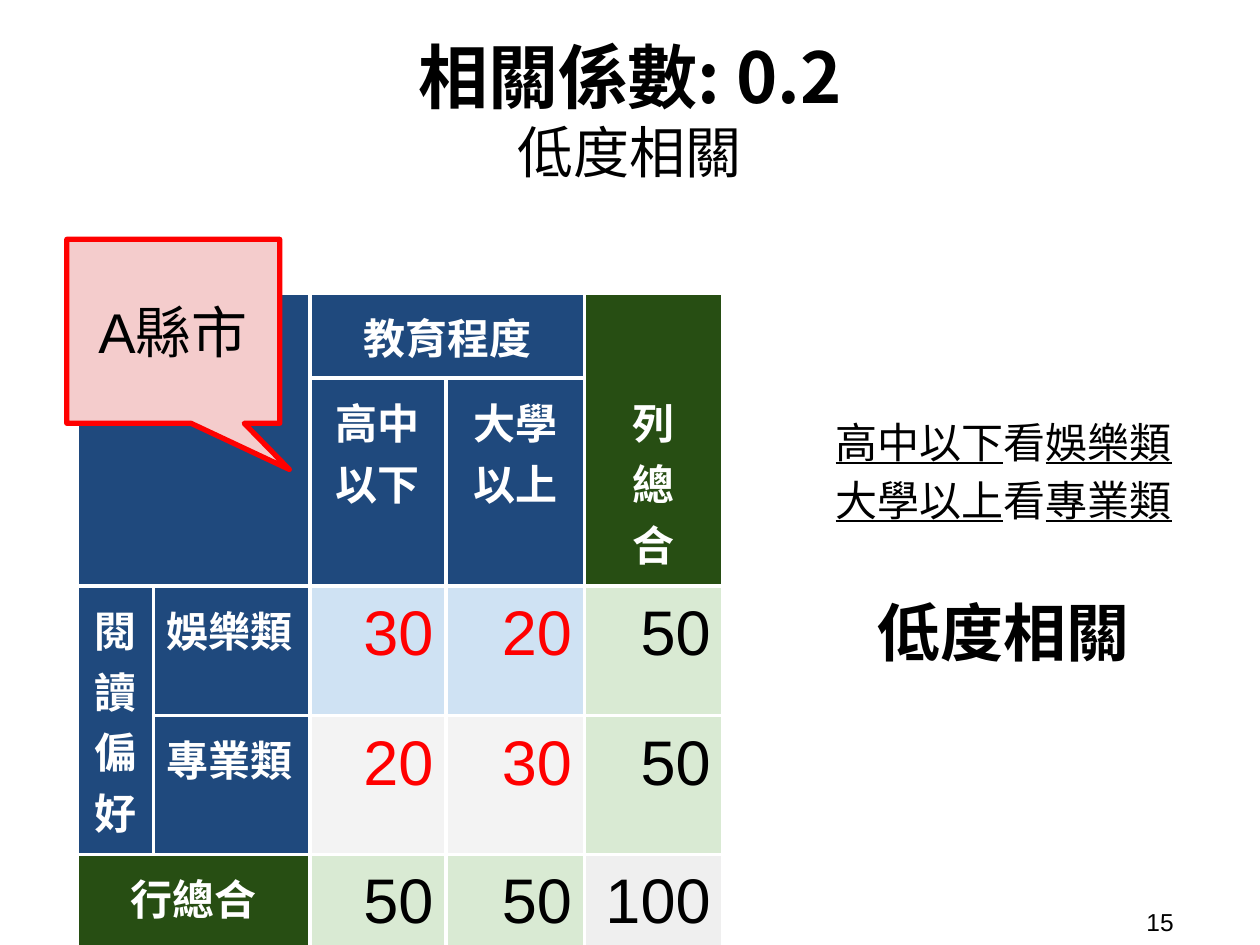
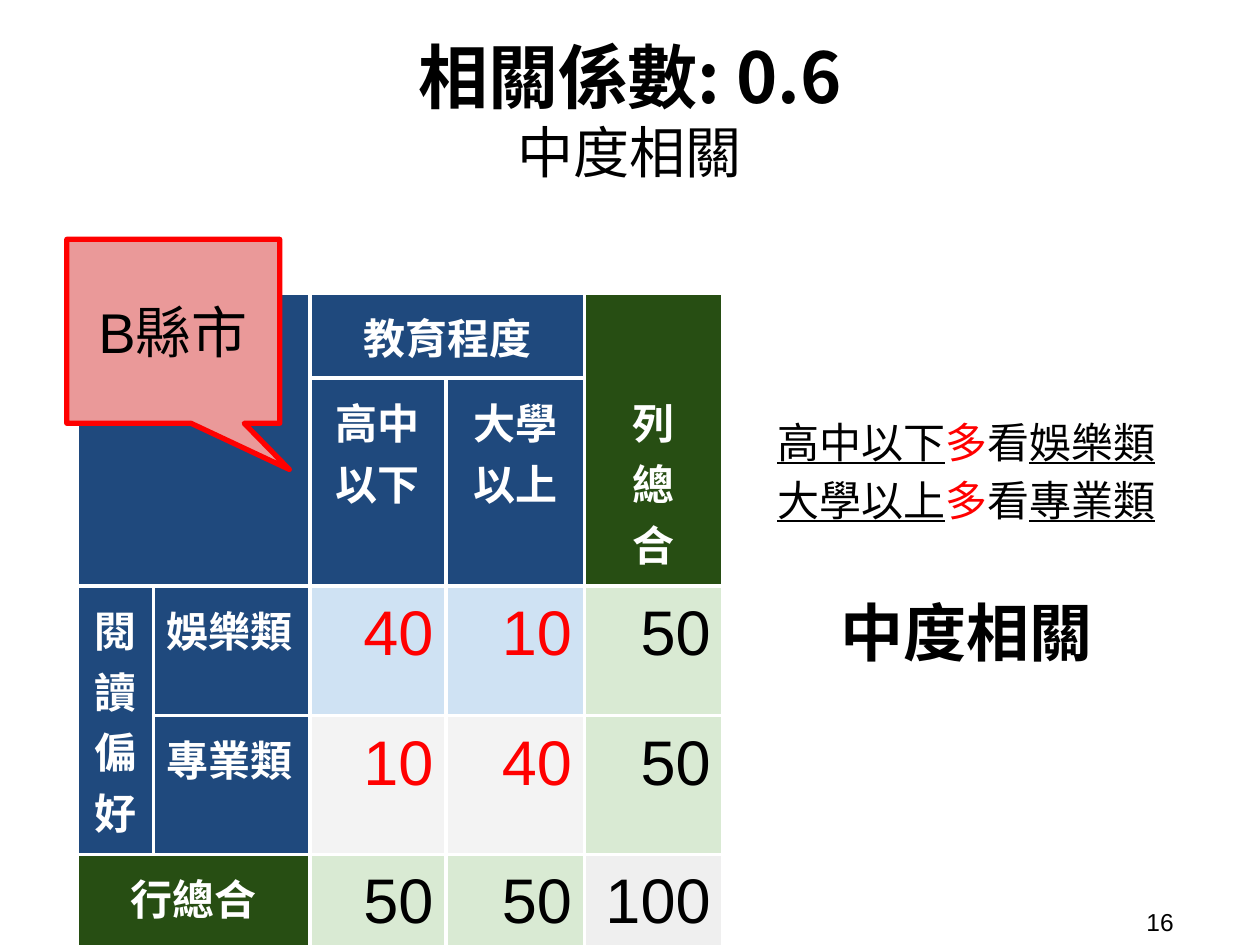
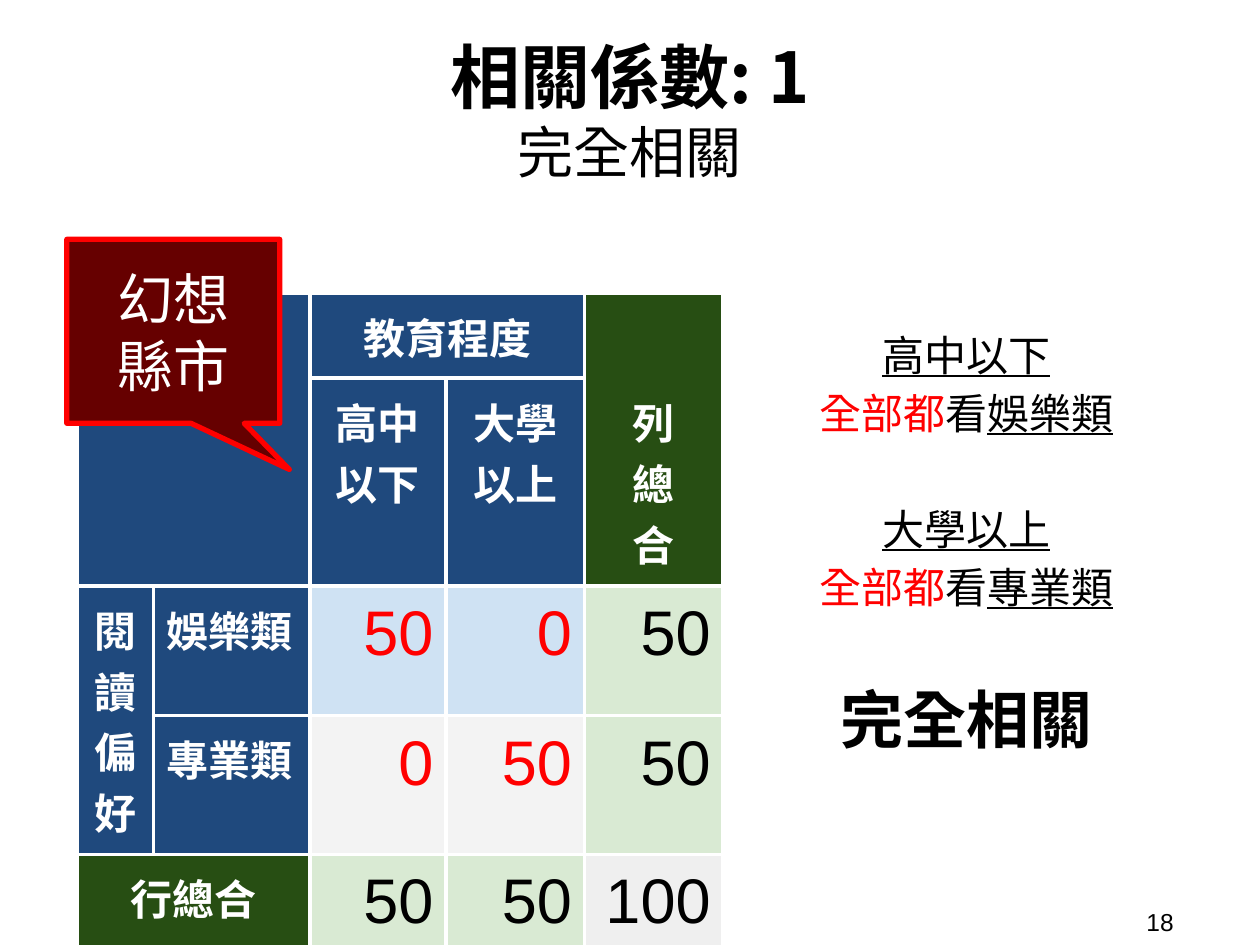
"""Build three slides that compare correlation strengths."""
from dataclasses import dataclass
from itertools import product
from typing import NamedTuple

from lxml.etree import SubElement
from pptx import Presentation
from pptx.dml.color import RGBColor
from pptx.enum.shapes import MSO_SHAPE as Preset
from pptx.enum.text import MSO_ANCHOR as Anchor, PP_ALIGN as Align
from pptx.oxml.ns import qn
from pptx.util import Emu, Inches, Pt

WIDTH, HEIGHT = Inches(10), Inches(7.5)
GRID_COLUMNS, GRID_ROWS = 100, 75


@dataclass(frozen=True)
class Theme:
    """Colours, fonts and type sizes shared by all slides."""
    ink: str = "000000"
    white: str = "FFFFFF"
    red: str = "FF0000"
    navy: str = "1F497D"
    forest: str = "274E13"
    sky: str = "CFE2F3"
    mist: str = "F3F3F3"
    mint: str = "D9EAD3"
    silver: str = "EFEFEF"
    latin: str = "Arial"
    cjk: str = "Noto Sans CJK TC"
    title: int = 40
    subtitle: int = 32
    figure: int = 36
    body: int = 24
    footer: int = 14
    border: float = 2.25
    outline: float = 3
    gap: int = 33
    spacing: float = 1.15


THEME = Theme()


class Area(NamedTuple):
    """A rectangle in grid columns and rows."""
    left: float
    top: float
    width: float
    height: float


@dataclass(frozen=True)
class Span:
    """A run of text and its look."""
    text: str
    size: int = THEME.body
    color: str = THEME.ink
    bold: bool = False
    underline: bool = False
    latin: str = THEME.latin
    cjk: str = THEME.latin


@dataclass(frozen=True)
class Line:
    """A paragraph made of rows of spans split by line breaks."""
    rows: list[list[Span]]
    align: Align = Align.CENTER
    spacing: float | None = None
    before: int = 0


class Entry(NamedTuple):
    """A table cell with its place, fill, text and extent."""
    row: int
    column: int
    fill: str
    lines: list[Line]
    row_span: int = 1
    column_span: int = 1
    anchor: Anchor = Anchor.TOP


class Case(NamedTuple):
    """The content of one slide."""
    number: str
    coefficient: str
    strength: str
    county: list[str]
    county_fill: str
    county_ink: str
    matching: int
    findings: list[Line]
    findings_area: Area


TITLE_AREA = Area(5.2, 1.9, 89.6, 13.6)
NUMBER_AREA = Area(90, 71.7, 9.2, 2.9)
TABLE_ORIGIN = (6.1, 23.3)
TABLE_COLUMNS = (6.1, 12.4, 10.8, 11, 11)
TABLE_ROWS = (6.7, 16.5, 10.3, 11, 7)
CALLOUT_AREA = Area(5.3, 19, 16.9, 14.6)
CALLOUT_TIP = (0.545, 0.751, 0)
FINDINGS_NARROW = Area(64.5, 24.8, 30.3, 36)
FINDINGS_WIDE = Area(58.6, 24.8, 36.2, 36)
GROUP_TOTAL = 50
GROUPS = (("高中以下", "娛樂類"), ("大學以上", "專業類"))


def across(columns: float) -> Emu:
    """Return the length of a number of grid columns."""
    return Emu(round(WIDTH * columns / GRID_COLUMNS))


def down(rows: float) -> Emu:
    """Return the length of a number of grid rows."""
    return Emu(round(HEIGHT * rows / GRID_ROWS))


def place(area: Area) -> tuple[Emu, Emu, Emu, Emu]:
    """Return the slide position of a grid area."""
    return across(area.left), down(area.top), across(area.width), down(area.height)


def rgb(color: str) -> RGBColor:
    """Return a colour from its hex code."""
    return RGBColor.from_string(color)


def add_span(para, span: Span) -> None:
    """Add one formatted run to a paragraph."""
    run = para.add_run()
    run.text = span.text
    font = run.font
    font.size, font.bold, font.underline = Pt(span.size), span.bold, span.underline
    font.color.rgb = rgb(span.color)
    font.name = span.latin
    properties = run._r.get_or_add_rPr()
    properties.set("lang", "zh-TW")
    SubElement(properties, qn("a:ea"), typeface=span.cjk)


def write(frame, lines: list[Line]) -> None:
    """Fill a text frame with paragraphs."""
    frame.word_wrap = True
    for index, line in enumerate(lines):
        para = frame.add_paragraph() if index else frame.paragraphs[0]
        para.alignment = line.align
        if line.spacing:
            para.line_spacing = line.spacing
        if line.before:
            para.space_before = Pt(line.before)
        for row_index, row in enumerate(line.rows):
            if row_index:
                para.add_line_break()
            for span in row:
                add_span(para, span)


def set_margins(target, side: float = 0.1, edge: float = 0.1) -> None:
    """Set the inner margins of a frame or a cell."""
    target.margin_left = target.margin_right = Inches(side)
    target.margin_top = target.margin_bottom = Inches(edge)


def add_text(page, area: Area, lines: list[Line], edge: float = 0.1) -> None:
    """Add a vertically centred text box."""
    frame = page.shapes.add_textbox(*place(area)).text_frame
    set_margins(frame, edge=edge)
    frame.vertical_anchor = Anchor.MIDDLE
    write(frame, lines)


def header(text: str, align: Align = Align.CENTER) -> Line:
    """Return a table heading."""
    span = Span(text, color=THEME.white, bold=True, cjk=THEME.cjk)
    return Line([[span]], align)


def figure(value: int, color: str = THEME.ink) -> list[Line]:
    """Return a right-aligned table figure."""
    return [Line([[Span(str(value), THEME.figure, color)]], Align.RIGHT)]


def table_entries(matching: int) -> list[Entry]:
    """Return the cells of a contingency table with equal group totals."""
    entries = [
        Entry(0, 0, THEME.navy, [], 2, 2),
        Entry(0, 2, THEME.navy, [header("教育程度")], 1, 2),
        Entry(0, 4, THEME.forest, [header(mark) for mark in "列總合"], 2, 1,
              Anchor.BOTTOM),
        Entry(2, 0, THEME.navy, [header("閱讀偏好")], 2, 1),
        Entry(4, 0, THEME.forest, [header("行總合")], 1, 2),
        Entry(4, 4, THEME.silver, figure(2 * GROUP_TOTAL)),
    ]
    for index, (education, genre) in enumerate(GROUPS):
        entries += [
            Entry(1, 2 + index, THEME.navy, [header(education)]),
            Entry(2 + index, 1, THEME.navy, [header(genre, Align.LEFT)]),
            Entry(2 + index, 4, THEME.mint, figure(GROUP_TOTAL)),
            Entry(4, 2 + index, THEME.mint, figure(GROUP_TOTAL)),
        ]
    for row, column in product(range(2), repeat=2):
        value = matching if row == column else GROUP_TOTAL - matching
        fill = (THEME.sky, THEME.mist)[row]
        entries.append(Entry(2 + row, 2 + column, fill, figure(value, THEME.red)))
    return entries


def dress_cell(cell, fill: str) -> None:
    """Give a cell its borders and fill."""
    properties = cell._tc.get_or_add_tcPr()
    for side in ("lnL", "lnR", "lnT", "lnB"):
        edge = SubElement(properties, qn(f"a:{side}"), w=str(Pt(THEME.border)))
        paint = SubElement(edge, qn("a:solidFill"))
        SubElement(paint, qn("a:srgbClr"), val=THEME.white)
    cell.fill.solid()
    cell.fill.fore_color.rgb = rgb(fill)


def add_contingency_table(page, matching: int) -> None:
    """Add the table of education against reading preference."""
    area = Area(*TABLE_ORIGIN, sum(TABLE_COLUMNS), sum(TABLE_ROWS))
    table = page.shapes.add_table(
        len(TABLE_ROWS), len(TABLE_COLUMNS), *place(area)).table
    table.first_row = table.horz_banding = False
    for column, width in zip(table.columns, TABLE_COLUMNS):
        column.width = across(width)
    for row, height in zip(table.rows, TABLE_ROWS):
        row.height = down(height)
    for entry in table_entries(matching):
        rows = range(entry.row, entry.row + entry.row_span)
        columns = range(entry.column, entry.column + entry.column_span)
        for row, column in product(rows, columns):
            dress_cell(table.cell(row, column), entry.fill)
        cell = table.cell(entry.row, entry.column)
        if entry.row_span * entry.column_span > 1:
            cell.merge(table.cell(rows[-1], columns[-1]))
        set_margins(cell)
        cell.vertical_anchor = entry.anchor
        write(cell.text_frame, entry.lines)


def add_callout(page, case: Case) -> None:
    """Add the callout that names the county."""
    callout = page.shapes.add_shape(
        Preset.ROUNDED_RECTANGULAR_CALLOUT, *place(CALLOUT_AREA))
    for index, value in enumerate(CALLOUT_TIP):
        callout.adjustments[index] = value
    callout.shadow.inherit = False
    callout.fill.solid()
    callout.fill.fore_color.rgb = rgb(case.county_fill)
    callout.line.color.rgb = rgb(THEME.red)
    callout.line.width = Pt(THEME.outline)
    frame = callout.text_frame
    set_margins(frame)
    frame.vertical_anchor = Anchor.MIDDLE
    write(frame, [Line([[Span(name, THEME.subtitle, case.county_ink)]])
                  for name in case.county])


def finding(group: int, adverb: str = "", split: bool = False,
            before: int = 0) -> Line:
    """Return a sentence on what one education group reads."""
    education, genre = GROUPS[group]
    subject = [Span(education, underline=True)]
    stress = [Span(adverb, color=THEME.red)] if adverb else []
    predicate = [*stress, Span("看"), Span(genre, underline=True)]
    rows = [subject, predicate] if split else [subject + predicate]
    return Line(rows, spacing=THEME.spacing, before=before)


def add_page(deck, case: Case) -> None:
    """Add one slide for a case."""
    page = deck.slides.add_slide(deck.slide_layouts[6])
    add_text(page, TITLE_AREA, [
        Line([[Span(f"相關係數: {case.coefficient}", THEME.title, bold=True,
                    latin=THEME.cjk)]]),
        Line([[Span(case.strength, THEME.subtitle, latin=THEME.cjk)]]),
    ])
    add_text(page, NUMBER_AREA,
             [Line([[Span(case.number, THEME.footer)]], Align.LEFT)], edge=0.05)
    add_contingency_table(page, case.matching)
    verdict = Line([[Span(case.strength, THEME.figure, bold=True)]],
                   spacing=THEME.spacing, before=THEME.gap)
    add_text(page, case.findings_area, [*case.findings, verdict])
    add_callout(page, case)


CASES = (
    Case("15", "0.2", "低度相關", ["A縣市"], "F4CCCC", THEME.ink, 30,
         [finding(0), finding(1)], FINDINGS_NARROW),
    Case("16", "0.6", "中度相關", ["B縣市"], "EA9999", THEME.ink, 40,
         [finding(0, "多"), finding(1, "多")], FINDINGS_WIDE),
    Case("18", "1", "完全相關", ["幻想", "縣市"], "660000", THEME.white, 50,
         [finding(0, "全部都", True), finding(1, "全部都", True, THEME.gap)],
         FINDINGS_WIDE),
)


def main() -> None:
    """Build and save the deck."""
    deck = Presentation()
    deck.slide_width, deck.slide_height = WIDTH, HEIGHT
    for case in CASES:
        add_page(deck, case)
    deck.save("out.pptx")


if __name__ == "__main__":
    main()
